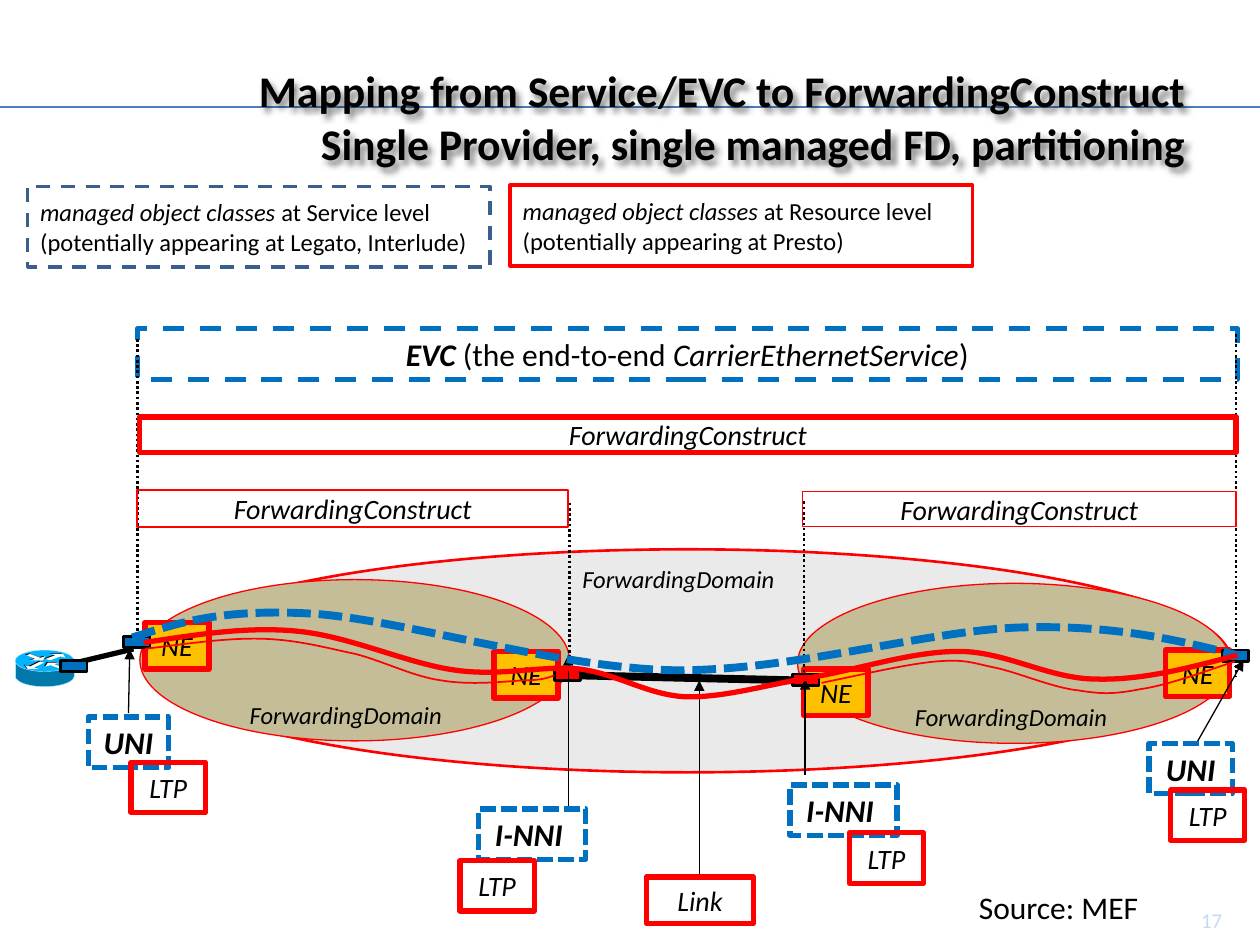
"""Build a slide that maps an Ethernet service to its forwarding constructs."""
from dataclasses import dataclass
from typing import Optional

from pptx import Presentation
from pptx import util as u
from pptx.dml.color import RGBColor
from pptx.enum import dml, shapes, text
from pptx.oxml import parse_xml
from pptx.oxml.ns import nsdecls, qn

BLACK = RGBColor(0, 0, 0)
WHITE = RGBColor(255, 255, 255)
RED = RGBColor(255, 0, 0)
BLUE = RGBColor(0x00, 0x70, 0xC0)
NAVY = RGBColor(0x3A, 0x5F, 0x8C)
RULE = RGBColor(0x4B, 0x7E, 0xBC)
PALE = RGBColor(0xC6, 0xD9, 0xF1)
GREY = RGBColor(0xEA, 0xEA, 0xEA)
TAN = RGBColor(0xC4, 0xBD, 0x97)
GOLD = RGBColor(0xFF, 0xC0, 0x00)
TEAL = RGBColor(0x00, 0x78, 0xAA)
SKY = RGBColor(0x00, 0xB4, 0xFF)
ICE = RGBColor(0xAA, 0xE6, 0xFF)

RECT = shapes.MSO_SHAPE.RECTANGLE
OVAL = shapes.MSO_SHAPE.OVAL
LEFT, MID, RIGHT = text.PP_ALIGN.LEFT, text.PP_ALIGN.CENTER, text.PP_ALIGN.RIGHT
TOP, HALF = text.MSO_ANCHOR.TOP, text.MSO_ANCHOR.MIDDLE
DASH = dml.MSO_LINE.DASH
SHORT = dml.MSO_LINE.SQUARE_DOT
DOTS = dml.MSO_LINE.ROUND_DOT
DOMAIN = "ForwardingDomain"
PATH = "ForwardingConstruct"
SHADE = (
    f'<a:effectLst {nsdecls("a")}><a:outerShdw blurRad="50800" dist="38100" dir="2700000">'
    '<a:srgbClr val="000000"><a:alpha val="50000"/></a:srgbClr></a:outerShdw></a:effectLst>'
)


@dataclass
class Label:
    """Text runs, each with b or i marks, and their shared format."""
    runs: tuple
    size: float = 16
    ink: RGBColor = BLACK
    align: int = MID
    anchor: int = HALF
    wrap: bool = True


@dataclass
class Pen:
    """Stroke of an outline or a line."""
    ink: RGBColor
    width: float
    dash: Optional[int] = None


@dataclass
class Box:
    """Place and look of a shape, in inches."""
    x: float
    y: float
    w: float
    h: float
    label: Optional[Label] = None
    fill: Optional[RGBColor] = None
    pen: Optional[Pen] = None
    kind: int = RECT


@dataclass
class Curve:
    """Chain of Bezier points: a start, then three for each segment."""
    pen: Pen
    pts: list


def stroke(line, pen: Optional[Pen]) -> None:
    """Apply a pen to a line format."""
    if pen is None:
        line.fill.background()
        return
    line.color.rgb = pen.ink
    line.width = u.Pt(pen.width)
    if pen.dash:
        line.dash_style = pen.dash


def write(shape, label: Label) -> None:
    """Fill the text frame of a shape."""
    frame = shape.text_frame
    frame.word_wrap = label.wrap
    frame.vertical_anchor = label.anchor
    para = frame.paragraphs[0]
    para.alignment = label.align
    font = para.font
    font.name, font.size = "Calibri", u.Pt(label.size)
    font.color.rgb = label.ink
    marks = {mark for _, mark in label.runs}
    if len(marks) == 1:
        mark = marks.pop()
        font.bold, font.italic = "b" in mark, "i" in mark
    for words, mark in label.runs:
        for num, part in enumerate(words.split("\n")):
            if num:
                para.add_line_break()
            run = para.add_run()
            run.text = part
            if len(label.runs) > 1:
                run.font.bold, run.font.italic = "b" in mark, "i" in mark


def draw(slide, box: Box) -> None:
    """Add a preset shape."""
    shape = slide.shapes.add_shape(box.kind, *map(u.Inches, (box.x, box.y, box.w, box.h)))
    shape.shadow.inherit = False
    if box.fill is None:
        shape.fill.background()
    else:
        shape.fill.solid()
        shape.fill.fore_color.rgb = box.fill
    stroke(shape.line, box.pen)
    if box.label:
        write(shape, box.label)


def note(slide, box: Box):
    """Add a text box."""
    shape = slide.shapes.add_textbox(*map(u.Inches, (box.x, box.y, box.w, box.h)))
    write(shape, box.label)
    return shape


def link(slide, ends: tuple, pen: Pen, arrow: bool = False) -> None:
    """Add a straight line, with an arrowhead if asked."""
    line = slide.shapes.add_connector(shapes.MSO_CONNECTOR.STRAIGHT, *map(u.Inches, ends))
    stroke(line.line, pen)
    props = line._element.spPr
    if arrow:
        props.find(qn("a:ln")).append(parse_xml(f'<a:tailEnd {nsdecls("a")} type="triangle"/>'))
    props.append(parse_xml(f'<a:effectLst {nsdecls("a")}/>'))


def trace(slide, pts: list, close: bool):
    """Add a freeform through the points."""
    spots = [(u.Inches(x), u.Inches(y)) for x, y in pts]
    form = slide.shapes.build_freeform(*spots[0], scale=1.0)
    form.add_line_segments(spots[1:], close=close)
    shape = form.convert_to_shape()
    shape.shadow.inherit = False
    return shape


def bend(slide, curve: Curve) -> None:
    """Add an open freeform and turn its segments into Bezier curves."""
    shape = trace(slide, curve.pts, False)
    shape.fill.background()
    stroke(shape.line, curve.pen)
    steps = list(shape._element.iter(qn("a:lnTo")))
    for at in range(0, len(steps), 3):
        cubic = parse_xml(f'<a:cubicBezTo {nsdecls("a")}/>')
        steps[at].addprevious(cubic)
        for step in steps[at:at + 3]:
            cubic.append(step[0])
            step.getparent().remove(step)


def router(slide) -> None:
    """Draw the router at the customer side."""
    rim = Pen(ICE, 0.25)
    draw(slide, Box(0.12, 5.28, 0.47, 0.17, fill=TEAL, pen=rim, kind=OVAL))
    draw(slide, Box(0.12, 5.25, 0.47, 0.12, fill=TEAL))
    draw(slide, Box(0.12, 5.16, 0.47, 0.17, fill=SKY, pen=rim, kind=OVAL))
    arrows = [
        [(0.36, 5.23), (0.4, 5.24), (0.48, 5.21), (0.52, 5.22), (0.5, 5.19), (0.4, 5.19), (0.44, 5.2)],
        [(0.35, 5.26), (0.32, 5.25), (0.24, 5.29), (0.2, 5.28), (0.22, 5.31), (0.32, 5.31), (0.27, 5.3)],
        [(0.21, 5.2), (0.24, 5.19), (0.32, 5.22), (0.36, 5.21), (0.34, 5.24), (0.24, 5.24), (0.28, 5.23)],
        [(0.51, 5.3), (0.48, 5.31), (0.4, 5.28), (0.36, 5.29), (0.38, 5.26), (0.48, 5.26), (0.43, 5.27)],
    ]
    for ink, shift in ((BLACK, 0.01), (WHITE, 0)):
        for pts in arrows:
            shape = trace(slide, [(x - shift, y - shift / 2) for x, y in pts], True)
            shape.fill.solid()
            shape.fill.fore_color.rgb = ink
            shape.line.fill.background()
    for x in (0.12, 0.59):
        link(slide, (x, 5.25, x, 5.37), rim)


def main() -> None:
    """Lay out the slide and save it."""
    deck = Presentation()
    deck.slide_width, deck.slide_height = u.Inches(10), u.Inches(7.5)
    slide = deck.slides.add_slide(deck.slide_layouts[6])
    thick, thin = Pen(RED, 3), Pen(RED, 0.75)
    edge, dots, fine = Pen(BLACK, 1.5), Pen(BLACK, 1.5, DOTS), Pen(BLACK, 0.75)

    note(slide, Box(9.4, 7.15, 0.4, 0.3, Label((("17", ""),), 12, PALE, RIGHT, TOP, False)))
    link(slide, (0, 0.85, 10, 0.85), Pen(RULE, 0.75))
    draw(slide, Box(1.14, 4.36, 8.63, 1.77, fill=GREY, pen=Pen(RED, 1.5), kind=OVAL))
    link(slide, (6.33, 5.4, 4.58, 5.36), Pen(BLACK, 4.5))
    head = "Mapping from Service/EVC to ForwardingConstruct\nSingle Provider, single managed FD, partitioning"
    title = note(slide, Box(0.5, 0.3, 9, 1.25, Label(((head, "b"),), 25, align=RIGHT)))
    title._element.spPr.append(parse_xml(SHADE))

    service = (("EVC", "bi"), (" (the end-to-end ", ""), ("CarrierEthernetService", "i"), (")", ""))
    draw(slide, Box(1.09, 2.61, 8.73, 0.4, Label(service, 18, anchor=TOP), pen=Pen(BLUE, 3, DASH)))
    router(slide)
    link(slide, (1.06, 5.15, 0.56, 5.27), Pen(BLACK, 3))
    draw(slide, Box(0.48, 5.24, 0.21, 0.09, fill=BLUE, pen=edge))
    for x, y, tail, pen in (
        (0.22, 1.48, "at Service level (potentially appearing at Legato, Interlude)", Pen(NAVY, 2, DASH)),
        (4.05, 1.47, "at Resource level\n(potentially appearing at Presto)", Pen(RED, 2)),
    ):
        runs = (("managed object classes ", "i"), (tail, ""))
        draw(slide, Box(x, y, 3.67, 0.64, Label(runs, 14, align=LEFT), WHITE, pen))
    for x, y, w, h in ((1.11, 4.6, 3.41, 1.28), (6.33, 4.63, 3.44, 1.27)):
        draw(slide, Box(x, y, w, h, fill=TAN, pen=thin, kind=OVAL))
    for x, y, fill in ((4.51, 4.43, None), (7.15, 5.52, TAN), (1.87, 5.51, TAN)):
        draw(slide, Box(x, y, 1.75, 0.33, Label(((DOMAIN, "i"),), 14, wrap=False), fill, kind=OVAL))
    for x, y in ((1.15, 4.94), (3.92, 5.17), (6.38, 5.31), (9.25, 5.16)):
        draw(slide, Box(x, y, 0.51, 0.37, Label((("NE", "i"),)), GOLD, thick))
    for x, top, end in ((1.09, 2.69, 5.14), (4.52, 3.99, 5.26), (6.38, 3.98, 5.35), (9.81, 2.65, 5.37)):
        link(slide, (x, top, x, end), dots)
    for x, y, w, h, width in ((1.11, 3.31, 8.7, 0.28, 3), (1.09, 3.89, 3.42, 0.29, 1), (6.37, 3.9, 3.44, 0.28, 1)):
        draw(slide, Box(x, y, w, h, Label(((PATH, "i"),)), pen=Pen(RED, width)))

    for x, y, fill in ((9.7, 5.16, BLUE), (0.98, 5.05, BLUE), (6.29, 5.35, RED), (4.4, 5.31, RED)):
        draw(slide, Box(x, y, 0.21, 0.09, fill=fill, pen=edge))
    for ends in (
        (1.02, 5.66, 1.03, 5.15), (9.49, 5.91, 9.87, 5.24), (4.51, 6.43, 4.51, 5.2),
        (6.39, 6.15, 6.39, 5.39), (5.55, 6.94, 5.55, 5.4),
    ):
        link(slide, ends, fine, True)
    for x, y, w, name in ((0.7, 5.69, 0.64, "UNI"), (9.12, 5.9, 0.66, "UNI"),
                          (6.27, 6.23, 0.85, "I-NNI "), (3.8, 6.42, 0.85, "I-NNI ")):
        draw(slide, Box(x, y, w, 0.4, Label(((name, "bi"),), 18, anchor=TOP), pen=Pen(BLUE, 3, SHORT)))
    for x, y in ((1.04, 6.05), (9.29, 6.27), (6.74, 6.61), (3.65, 6.83)):
        draw(slide, Box(x, y, 0.59, 0.4, Label((("LTP", "i"),)), pen=thick))

    for curve in (
        Curve(Pen(BLUE, 4.5, SHORT), [
            (1.05, 5.06), (1.4, 4.95), (1.74, 4.83), (2.46, 4.87), (3.17, 4.91), (4.4, 5.3), (5.34, 5.32),
            (6.29, 5.33), (7.37, 5), (8.11, 4.98), (8.86, 4.96), (9.34, 5.08), (9.82, 5.2)]),
        Curve(thick, [
            (1.14, 5.1), (1.55, 5.04), (1.95, 4.97), (2.36, 5.01), (2.78, 5.05), (3.24, 5.27), (3.62, 5.32),
            (3.99, 5.37), (4.29, 5.28), (4.6, 5.31), (4.9, 5.35), (5.13, 5.51), (5.43, 5.53),
            (5.74, 5.54), (6.06, 5.44), (6.42, 5.38), (6.79, 5.32), (7.23, 5.17), (7.61, 5.17),
            (7.98, 5.17), (8.33, 5.39), (8.7, 5.39), (9.07, 5.4), (9.44, 5.3), (9.82, 5.2)]),
        Curve(Pen(RED, 1), [
            (1.15, 5.15), (1.48, 5.11), (1.81, 5.06), (2.09, 5.07), (2.37, 5.08), (2.58, 5.14), (2.82, 5.19),
            (3.05, 5.25), (3.28, 5.37), (3.5, 5.4), (3.73, 5.44), (4, 5.41), (4.15, 5.4),
            (4.3, 5.4), (4.35, 5.38), (4.4, 5.36)]),
        Curve(Pen(RED, 1), [
            (6.52, 5.42), (6.86, 5.35), (7.2, 5.27), (7.43, 5.25), (7.66, 5.23), (7.71, 5.26), (7.9, 5.3),
            (8.09, 5.34), (8.36, 5.46), (8.56, 5.48), (8.75, 5.51), (8.84, 5.51), (9.05, 5.47),
            (9.26, 5.44), (9.53, 5.34), (9.8, 5.25)]),
    ):
        bend(slide, curve)
    draw(slide, Box(5.13, 6.96, 0.85, 0.37, Label((("Link", "i"),)), pen=thick))
    note(slide, Box(7.67, 7, 1.48, 0.4, Label((("Source: MEF", ""),), 18, align=LEFT, anchor=TOP, wrap=False)))
    deck.save("out.pptx")


if __name__ == "__main__":
    main()
